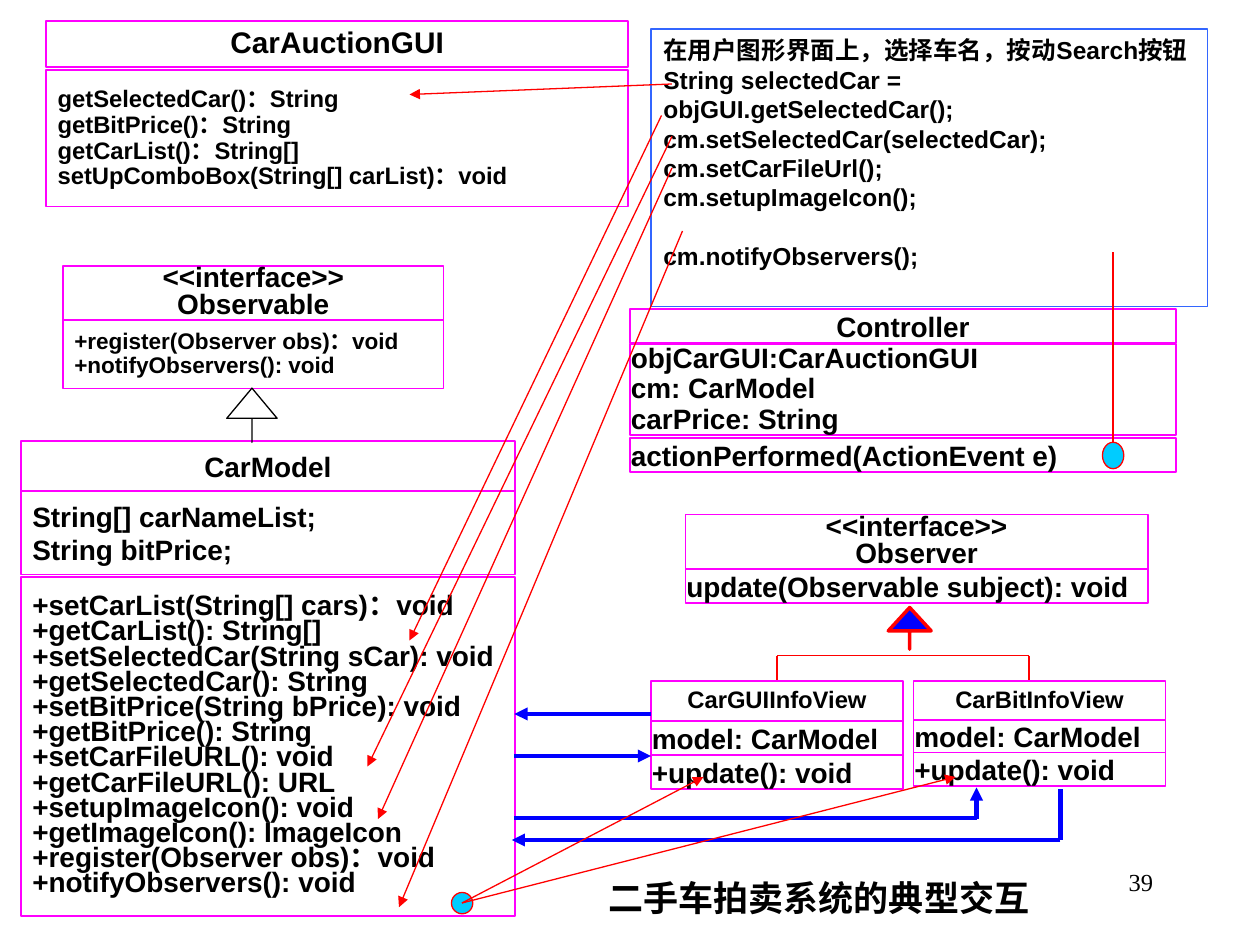
from dataclasses import dataclass

from lxml import etree
from pptx import Presentation
from pptx.dml.color import RGBColor
from pptx.enum.shapes import MSO_CONNECTOR, MSO_SHAPE
from pptx.enum.text import MSO_ANCHOR, PP_ALIGN
from pptx.oxml.ns import qn
from pptx.util import Pt

CENTER, LEFT, RIGHT, JUSTIFY = PP_ALIGN.CENTER, PP_ALIGN.LEFT, PP_ALIGN.RIGHT, PP_ALIGN.JUSTIFY
TOP, MIDDLE = MSO_ANCHOR.TOP, MSO_ANCHOR.MIDDLE
RECTANGLE, OVAL, UP_ARROW = MSO_SHAPE.RECTANGLE, MSO_SHAPE.OVAL, MSO_SHAPE.UP_ARROW
STRAIGHT = MSO_CONNECTOR.STRAIGHT

COLORS = {
    "text": "000000", "paper": "FFFFFF", "class": "FF00FF", "note": "3366FF",
    "call": "FF0000", "link": "0000FF", "dot": "00CCFF",
}
LATIN, CHINESE = "Arial", "Noto Sans CJK SC"
PADDED, TIGHT = (6.5, 2.9), (0.5, 0)


@dataclass
class Compartment:
    offset: float  # distance below the top of the class box
    height: float
    lines: list
    size: float = 16
    spacing: float = 1
    alignment: PP_ALIGN = JUSTIFY
    insets: tuple = TIGHT


def color(name):
    return RGBColor.from_string(COLORS[name])


def add_box(slide, kind, box, fill=None, line=None, width=0.75):
    shape = slide.shapes.add_shape(kind, *map(Pt, box))
    shape.shadow.inherit = False
    if fill:
        shape.fill.solid()
        shape.fill.fore_color.rgb = color(fill)
    else:
        shape.fill.background()
    if line:
        shape.line.color.rgb = color(line)
        shape.line.width = Pt(width)
    else:
        shape.line.fill.background()
    return shape


def write(shape, lines, size, spacing=1, alignment=LEFT, insets=PADDED,
          anchor=MIDDLE, font=LATIN, bold=True):
    frame = shape.text_frame
    frame.word_wrap = True
    frame.vertical_anchor = anchor
    frame.margin_left = frame.margin_right = Pt(insets[0])
    frame.margin_top = frame.margin_bottom = Pt(insets[1])
    for index, line in enumerate(lines):
        paragraph = frame.add_paragraph() if index else frame.paragraphs[0]
        paragraph.alignment = alignment
        paragraph.line_spacing = spacing
        run = paragraph.add_run()
        run.text = line
        run.font.name = font
        run.font.size = Pt(size)
        run.font.bold = bold
        run.font.color.rgb = color("text")
        east_asian = etree.SubElement(run.font._element, qn("a:ea"))
        east_asian.set("typeface", CHINESE)
    return frame


def add_line(slide, start, end, name, width=0.75, arrow=True):
    line = slide.shapes.add_connector(STRAIGHT, *map(Pt, (*start, *end)))
    line.line.color.rgb = color(name)
    line.line.width = Pt(width)
    if arrow:
        etree.SubElement(line.line._get_or_add_ln(), qn("a:tailEnd")).set("type", "triangle")
    etree.SubElement(line._element.spPr, qn("a:effectLst"))


def add_class(slide, left, top, width, compartments):
    for part in compartments:
        box = (left, top + part.offset, width, part.height)
        shape = add_box(slide, RECTANGLE, box, "paper", "class", 1)
        write(shape, part.lines, part.size, part.spacing, part.alignment, part.insets)


def add_inheritance(slide, box, head, fill, line, width):
    arrow = add_box(slide, UP_ARROW, box, fill, line, width)
    arrow.adjustments[0] = 0
    arrow.adjustments[1] = head


def add_auction_gui(slide, left, top):
    add_class(slide, left, top, 332.5, [
        Compartment(0, 26.5, ["CarAuctionGUI"], 17, 0.9, CENTER, PADDED),
        Compartment(28.2, 77.8, [
            "getSelectedCar()：String", "getBitPrice()：String", "getCarList()：String[]",
            "setUpComboBox(String[] carList)：void"], 13.6, 0.9, insets=PADDED),
    ])


def add_car_model(slide, left, top):
    add_class(slide, left, top, 282.2, [
        Compartment(0, 28.8, ["CarModel"], alignment=CENTER, insets=PADDED),
        Compartment(28.8, 47.5, ["String[] carNameList;", "String bitPrice;"], insets=PADDED),
        Compartment(77.8, 193.7, [
            "+setCarList(String[] cars)：void", "+getCarList(): String[]",
            "+setSelectedCar(String sCar): void", "+getSelectedCar(): String",
            "+setBitPrice(String bPrice): void", "+getBitPrice(): String",
            "+setCarFileURL(): void", "+getCarFileURL(): URL",
            "+setupImageIcon(): void", "+getImageIcon(): ImageIcon",
            "+register(Observer obs)：void", "+notifyObservers(): void",
        ], spacing=0.75, insets=PADDED),
    ])


def add_controller(slide, left, top):
    add_class(slide, left, top, 312, [
        Compartment(0, 19.4, ["Controller"], alignment=CENTER),
        Compartment(20.3, 52, ["objCarGUI:CarAuctionGUI", "cm: CarModel", "carPrice: String"],
                    spacing=0.9, alignment=LEFT),
        Compartment(74, 19.4, ["actionPerformed(ActionEvent e)"]),
    ])


def add_observable(slide, left, top):
    add_class(slide, left, top, 217.5, [
        Compartment(0, 31, ["<<interface>>", "Observable"], 16, 0.8, CENTER),
        Compartment(31, 39, ["+register(Observer obs)：void", "+notifyObservers(): void"],
                    12.9, 0.9, LEFT, PADDED),
    ])
    add_inheritance(slide, (left + 93.6, top + 69.8, 28.8, 31), 0.6, "paper", "text", 0.75)


def add_view(slide, left, top, name, model_offset, update_offset):
    add_class(slide, left, top, 144, [
        Compartment(0, model_offset, [name], 13.6, 0.9, CENTER, PADDED),
        Compartment(model_offset, 19.4, ["model: CarModel"]),
        Compartment(update_offset, 19.4, ["+update(): void"]),
    ])


def add_observer_tree(slide, left, top):
    add_class(slide, left + 19.7, top, 264.2, [
        Compartment(0, 31.2, ["<<interface>>", "Observer"], 16, 0.8, CENTER),
        Compartment(31.2, 19.4, ["update(Observable subject): void"]),
    ])
    add_inheritance(slide, (left + 135.6, top + 53.2, 24.5, 23.8), 0.56, "link", "call", 2)
    branch = top + 80.6
    add_line(slide, (left + 72, branch), (left + 216, branch), "call", arrow=False)
    for x in (left + 72, left + 216):
        add_line(slide, (x, branch), (x, top + 95), "call", arrow=False)
    add_view(slide, left, top + 95, "CarGUIInfoView", 23, 42.5)
    add_view(slide, left + 150, top + 95, "CarBitInfoView", 22.3, 41)


def add_search_note(slide, left, top):
    note = add_box(slide, RECTANGLE, (left, top, 318, 158.6), None, "note")
    frame = write(note, [
        "在用户图形界面上，选择车名，按动Search按钮",
        "String selectedCar = objGUI.getSelectedCar();", "cm.setSelectedCar(selectedCar);",
        "cm.setCarFileUrl();", "cm.setupImageIcon();", "cm.notifyObservers();",
    ], 14, insets=(7.2, 3.6), anchor=TOP)
    frame.paragraphs[-1].space_before = Pt(16.8)


def add_links(slide):
    # Blue links between the model and its views
    for start, end, arrow in [
        ((372, 408), (294, 408), True), ((294, 432), (372, 432), True),
        ((606, 480), (292.5, 480), True), ((606, 451), (606, 480), False),
        ((294, 467.5), (558, 467.5), False), ((558, 468), (558, 450), True),
    ]:
        add_line(slide, start, end, "link", 2.5, arrow)


def add_calls(slide):
    # Event dot of the controller
    add_line(slide, (636, 252.7), (636, 144), "call", arrow=False)
    add_box(slide, OVAL, (630, 252.7, 12.2, 15.1), "dot", "call")
    # Calls from the note to the methods
    for start, end in [
        ((384, 48), (234, 54)), ((378, 66), (234, 366)), ((384, 78), (210, 438)),
        ((384, 96), (216, 468)), ((390, 132), (228, 518.4)),
    ]:
        add_line(slide, start, end, "call")
    # Notifications from the model to the views
    add_box(slide, OVAL, (258, 510, 12.2, 12.2), "dot", "call")
    for x in (402, 546):
        add_line(slide, (264, 516), (x, 444), "call")


def add_caption(slide, left, top):
    caption = add_box(slide, RECTANGLE, (left, top, 264, 31.7), "paper")
    write(caption, ["二手车拍卖系统的典型交互"], 20, 1, CENTER, (7.2, 3.6), font=CHINESE)


def add_page_number(slide, left, top):
    number = slide.shapes.add_textbox(*map(Pt, (left, top, 150, 36)))
    write(number, ["39"], 14, 1, RIGHT, (7.2, 3.6), TOP, "Times New Roman", False)


def main():
    presentation = Presentation()
    presentation.slide_width, presentation.slide_height = Pt(720), Pt(540)
    slide = presentation.slides.add_slide(presentation.slide_layouts[6])
    add_page_number(slide, 516, 492)
    add_auction_gui(slide, 26.5, 12)
    add_car_model(slide, 12, 252)
    add_controller(slide, 360, 176.5)
    add_observable(slide, 36, 152)
    add_caption(slide, 336, 497)
    add_observer_tree(slide, 372, 294)
    add_search_note(slide, 372, 16.6)
    add_links(slide)
    add_calls(slide)
    presentation.save("out.pptx")


if __name__ == "__main__":
    main()
